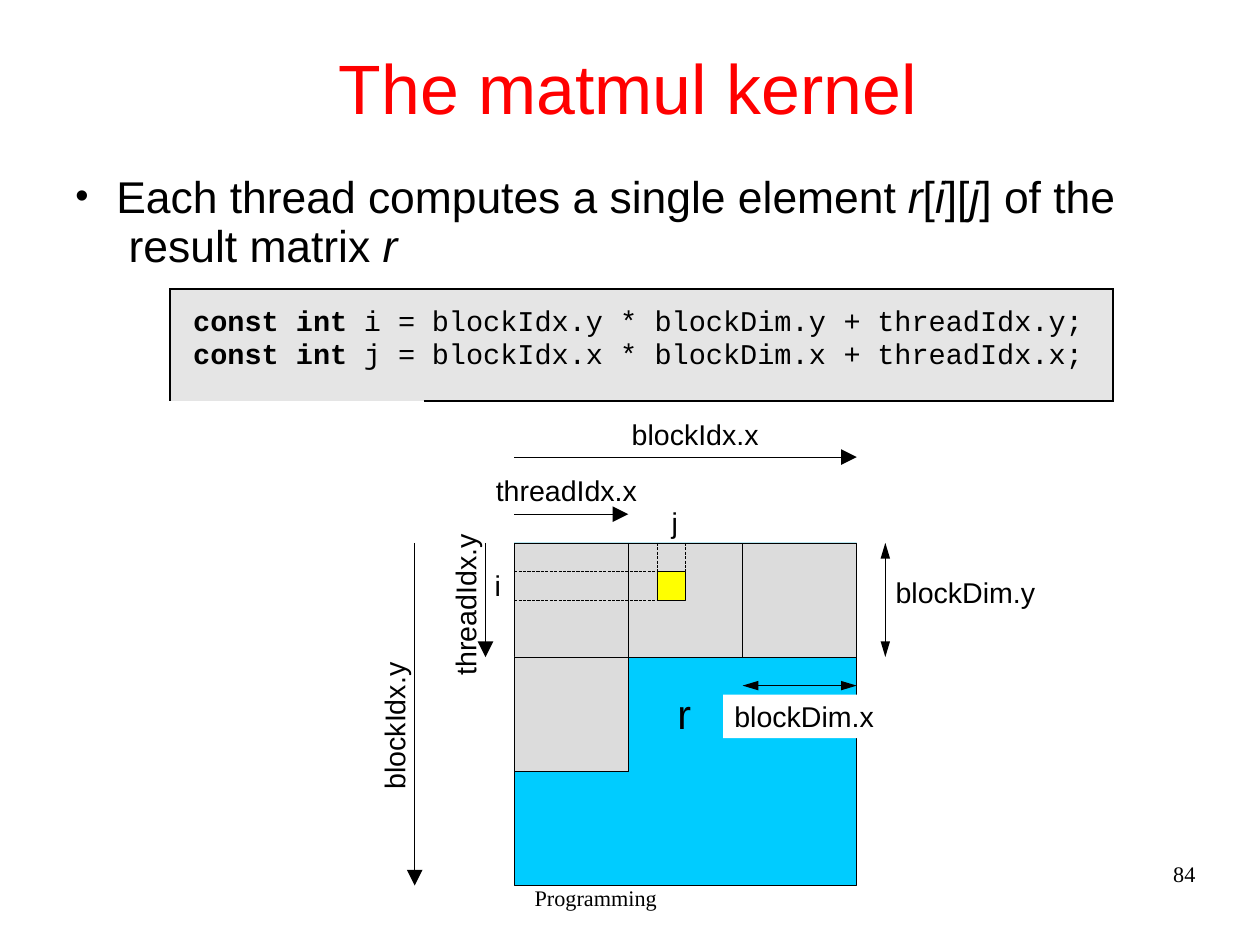
"""Build the slide that explains how the matmul kernel maps threads to elements."""
from lxml.etree import SubElement
from pptx import Presentation
from pptx.dml.color import RGBColor
from pptx.enum.dml import MSO_LINE
from pptx.enum.shapes import MSO_CONNECTOR, MSO_SHAPE
from pptx.enum.text import MSO_ANCHOR, PP_ALIGN
from pptx.oxml.ns import qn
from pptx.util import Inches, Pt

BLACK = RGBColor(0x00, 0x00, 0x00)
WHITE = RGBColor(0xFF, 0xFF, 0xFF)
RED = RGBColor(0xFF, 0x00, 0x00)
CYAN = RGBColor(0x00, 0xCC, 0xFF)
YELLOW = RGBColor(0xFF, 0xFF, 0x00)
BLOCK_GRAY = RGBColor(0xDC, 0xDC, 0xDC)
CODE_GRAY = RGBColor(0xE5, 0xE5, 0xE5)


def style(paragraph, size, name="Arial", color=BLACK, bold=False):
    paragraph.font.size = Pt(size)
    paragraph.font.name = name
    paragraph.font.color.rgb = color
    paragraph.font.bold = bold


def clear_margins(frame):
    frame.margin_left = frame.margin_right = 0
    frame.margin_top = frame.margin_bottom = 0


presentation = Presentation()
presentation.slide_width = Inches(11.03)
presentation.slide_height = Inches(8.27)
slide = presentation.slides.add_slide(presentation.slide_layouts[5])
shapes = slide.shapes

title = shapes.title
title.left, title.top = Inches(2.7), Inches(0.38)
title.width, title.height = Inches(5.6), Inches(0.76)
title.text_frame.text = "The matmul kernel"
title.text_frame.vertical_anchor = MSO_ANCHOR.MIDDLE
clear_margins(title.text_frame)
title.text_frame.paragraphs[0].alignment = PP_ALIGN.CENTER
style(title.text_frame.paragraphs[0], 44, color=RED)

body = shapes.add_textbox(Inches(0.66), Inches(1.51), Inches(9.4), Inches(0.87))
body.text_frame.word_wrap = True
clear_margins(body.text_frame)
paragraph = body.text_frame.paragraphs[0]
paragraph.line_spacing = Pt(31.2)
properties = paragraph._p.get_or_add_pPr()
properties.set("marL", str(Inches(0.36)))
properties.set("indent", str(-Inches(0.36)))
SubElement(properties, qn("a:buSzPct")).set("val", "85000")
SubElement(properties, qn("a:buFont")).set("typeface", "Arial")
SubElement(properties, qn("a:buChar")).set("char", "•")
style(paragraph, 28)
for text, italic in [
    ("Each thread computes a single element ", False), ("r", True), ("[", False),
    ("i", True), ("][", False), ("j", True), ("] of the", False),
]:
    run = paragraph.add_run()
    run.text = text
    run.font.italic = italic
paragraph.add_line_break()
for text, italic in [(" result matrix ", False), ("r", True)]:
    run = paragraph.add_run()
    run.text = text
    run.font.italic = italic

column_widths = [1.02, 0.6, 0.3, 0.3, 3.6, 0.3, 2.13]
alignments = [PP_ALIGN.RIGHT] * 2 + [PP_ALIGN.CENTER] * 2 + [
    PP_ALIGN.LEFT, PP_ALIGN.CENTER, PP_ALIGN.LEFT]
code_rows = [
    ["const", "int", "i", "=", "blockIdx.y * blockDim.y", "+", "threadIdx.y;"],
    ["const", "int", "j", "=", "blockIdx.x * blockDim.x", "+", "threadIdx.x;"],
]
code = shapes.add_table(2, 7, Inches(1.49), Inches(2.53), Inches(8.25), Inches(0.98)).table
code.first_row = code.horz_banding = False
for column, width in zip(code.columns, column_widths):
    column.width = Inches(width)
for row, height in zip(code.rows, [0.48, 0.5]):
    row.height = Inches(height)
for row, texts in enumerate(code_rows):
    for column, text in enumerate(texts):
        cell = code.cell(row, column)
        cell.text = text
        cell.margin_left = cell.margin_right = Inches(0.07)
        cell.margin_top = Inches(0.16 if row == 0 else 0)
        cell.margin_bottom = 0
        paragraph = cell.text_frame.paragraphs[0]
        paragraph.alignment = alignments[column]
        if row == 1:
            paragraph.line_spacing = Pt(18.6)
        style(paragraph, 18, "Courier New", bold=column < 2)
        borders = {
            "a:lnL": column == 0,
            "a:lnR": column == 6,
            "a:lnT": row == 0,
            "a:lnB": row == 1 and column > 3,
        }
        for tag, visible in borders.items():
            border = SubElement(cell._tc.get_or_add_tcPr(), qn(tag))
            if visible:
                border.set("w", str(Pt(1.5)))
                fill = SubElement(border, qn("a:solidFill"))
                SubElement(fill, qn("a:srgbClr")).set("val", str(BLACK))
            else:
                SubElement(border, qn("a:noFill"))
        cell.fill.solid()
        cell.fill.fore_color.rgb = CODE_GRAY

for left, top, size, color in [
    (4.5, 4.75, 3, CYAN),
    (4.5, 4.75, 1, BLOCK_GRAY),
    (5.5, 4.75, 1, BLOCK_GRAY),
    (6.5, 4.75, 1, BLOCK_GRAY),
    (4.5, 5.75, 1, BLOCK_GRAY),
    (5.75, 5, 0.25, YELLOW),
]:
    square = shapes.add_shape(
        MSO_SHAPE.RECTANGLE, Inches(left), Inches(top), Inches(size), Inches(size))
    square.shadow.inherit = False
    square.fill.solid()
    square.fill.fore_color.rgb = color
    square.line.color.rgb = BLACK
    square.line.width = Pt(0.25)

index_arrow = {"a:tailEnd": "lg"}
size_arrow = {"a:headEnd": "med", "a:tailEnd": "med"}
for start_x, start_y, end_x, end_y, heads in [
    (4.5, 4, 7.5, 4, index_arrow),
    (4.5, 4.5, 5.5, 4.5, index_arrow),
    (3.63, 4.75, 3.63, 7.75, index_arrow),
    (4.25, 4.75, 4.25, 5.75, index_arrow),
    (7.75, 4.75, 7.75, 5.75, size_arrow),
    (6.5, 6, 7.5, 6, size_arrow),
    (4.5, 5, 5.75, 5, {}),
    (4.5, 5.25, 5.75, 5.25, {}),
    (5.75, 4.75, 5.75, 5, {}),
    (6, 4.75, 6, 5, {}),
]:
    connector = shapes.add_connector(
        MSO_CONNECTOR.STRAIGHT, Inches(start_x), Inches(start_y), Inches(end_x), Inches(end_y))
    connector.line.color.rgb = BLACK
    connector.line.width = Pt(0.25)
    if not heads:
        connector.line.dash_style = MSO_LINE.LONG_DASH
    for tag, width in heads.items():
        head = SubElement(connector.line._get_or_add_ln(), qn(tag))
        head.set("type", "triangle")
        head.set("w", width)
        head.set("len", "lg")
    SubElement(connector._element.spPr, qn("a:effectLst"))

size_label = shapes.add_shape(
    MSO_SHAPE.RECTANGLE, Inches(6.33), Inches(6.08), Inches(1.42), Inches(0.38))
size_label.shadow.inherit = False
size_label.fill.solid()
size_label.fill.fore_color.rgb = WHITE
size_label.line.fill.background()
size_label.text_frame.text = "blockDim.x"
clear_margins(size_label.text_frame)
size_label.text_frame.margin_left = Inches(0.1)
size_label.text_frame.vertical_anchor = MSO_ANCHOR.MIDDLE
size_label.text_frame.paragraphs[0].alignment = PP_ALIGN.LEFT
style(size_label.text_frame.paragraphs[0], 18)

for text, left, top, width, height, size, name, rotation in [
    ("blockIdx.x", 5.53, 3.65, 1.2, 0.3, 18, "Arial", 0),
    ("threadIdx.x", 4.34, 4.14, 1.3, 0.3, 18, "Arial", 0),
    ("j", 5.88, 4.42, 0.15, 0.3, 18, "Arial", 0),
    ("i", 4.33, 4.97, 0.15, 0.3, 18, "Arial", 0),
    ("blockDim.y", 7.84, 5.03, 1.25, 0.3, 18, "Arial", 0),
    ("blockIdx.y", 2.88, 6.19, 1.14, 0.3, 18, "Arial", 270),
    ("threadIdx.y", 3.44, 5.13, 1.26, 0.3, 18, "Arial", 270),
    ("r", 5.93, 6.02, 0.2, 0.44, 26, "Arial", 0),
    ("Programming", 4.68, 7.74, 1.3, 0.22, 14, "Times New Roman", 0),
    ("84", 10.27, 7.53, 0.3, 0.22, 14, "Times New Roman", 0),
]:
    label = shapes.add_textbox(Inches(left), Inches(top), Inches(width), Inches(height))
    label.rotation = rotation
    label.text_frame.text = text
    label.text_frame.word_wrap = True
    clear_margins(label.text_frame)
    style(label.text_frame.paragraphs[0], size, name)

presentation.save("out.pptx")
